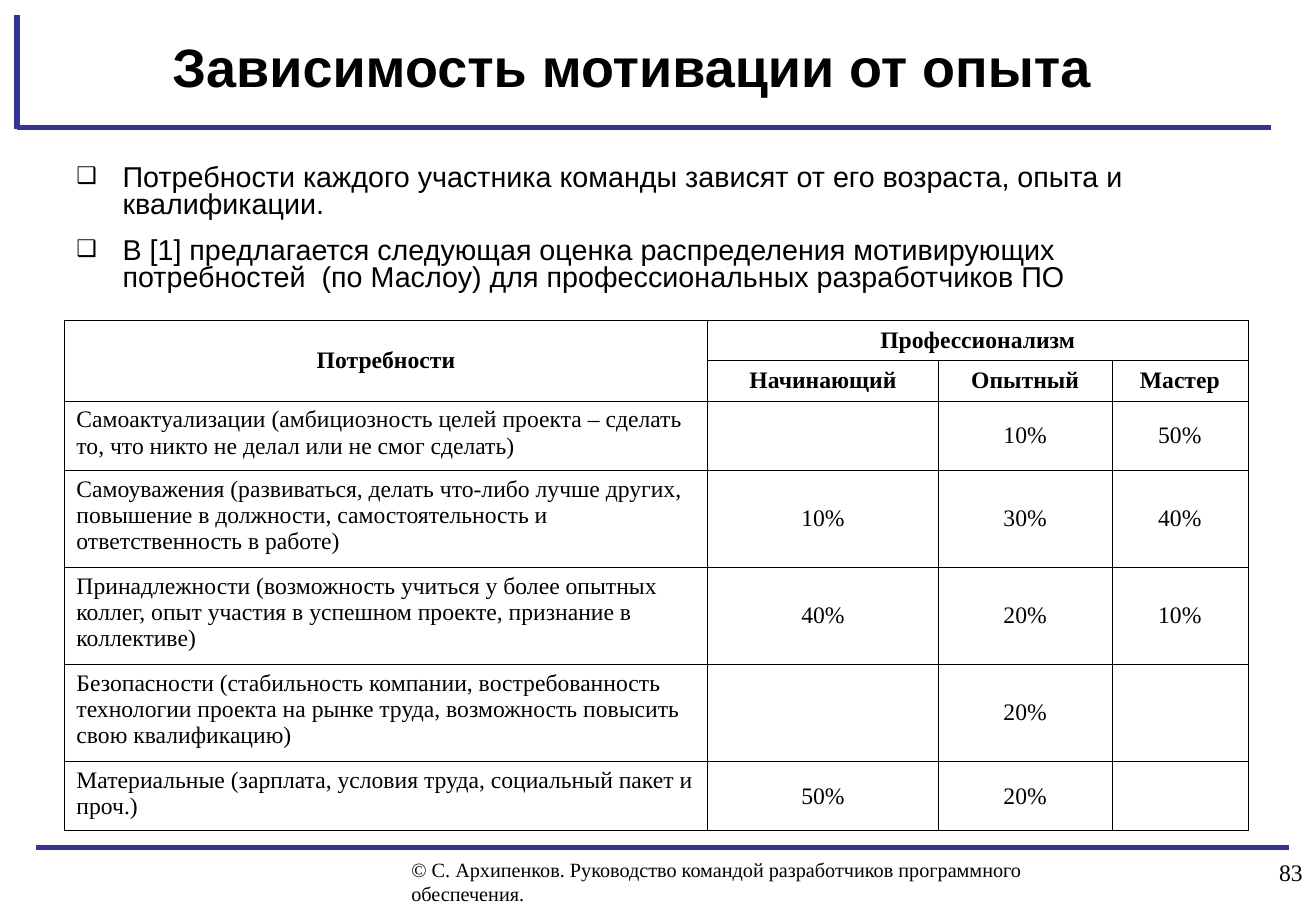
from dataclasses import dataclass

from lxml import etree
from pptx import Presentation
from pptx.dml.color import RGBColor
from pptx.enum.shapes import MSO_CONNECTOR
from pptx.enum.text import MSO_ANCHOR, MSO_AUTO_SIZE, PP_ALIGN
from pptx.oxml.ns import qn
from pptx.util import Emu, Inches, Pt

LEFT, CENTER, RIGHT = PP_ALIGN.LEFT, PP_ALIGN.CENTER, PP_ALIGN.RIGHT
TOP, MIDDLE = MSO_ANCHOR.TOP, MSO_ANCHOR.MIDDLE
STRAIGHT, NO_AUTOFIT = MSO_CONNECTOR.STRAIGHT, MSO_AUTO_SIZE.NONE

WIDTH, HEIGHT = Inches(10.84), Inches(7.5)
BLACK, NAVY = "000000", "333399"
SANS, SERIF = "Arial", "Times New Roman"


@dataclass(frozen=True)
class Box:
    """Place and size in percent of the slide."""
    left: float
    top: float
    width: float
    height: float

    def emu(self) -> tuple[Emu, Emu, Emu, Emu]:
        return (across(self.left), down(self.top),
                across(self.width), down(self.height))


@dataclass(frozen=True)
class Rule:
    """End points in percent of the slide."""
    x1: float
    y1: float
    x2: float
    y2: float


@dataclass(frozen=True)
class Label:
    box: Box
    text: str
    size: float
    align: PP_ALIGN


@dataclass(frozen=True)
class Need:
    text: str
    shares: tuple[str, str, str]
    height: float


RULES = [
    Rule(2.77, 93.07, 97.97, 93.07),
    Rule(1.29, 14, 96.59, 14),
    Rule(1.29, 1.6, 1.29, 14.13),
]
LABELS = [
    Label(Box(30.35, 93.47, 52.77, 6.53),
          "© С. Архипенков. Руководство командой разработчиков программного обеспечения.",
          12, LEFT),
    Label(Box(87.73, 93.47, 12.18, 6.53), "83", 14, RIGHT),
]
TITLE = "Зависимость мотивации от опыта"
TITLE_BOX = Box(12.18, 1.6, 82.93, 11.2)
POINTS = [
    "Потребности каждого участника команды зависят от его возраста, опыта и квалификации.",
    "В [1] предлагается следующая оценка распределения мотивирующих "
    "потребностей  (по Маслоу) для профессиональных разработчиков ПО",
]
BODY_BOX = Box(4.89, 17.47, 89.94, 16.8)
TABLE_BOX = Box(4.89, 35.2, 89.94, 56)
COLUMNS = [48.89, 17.53, 13.19, 10.33]
HEADER_HEIGHT, TWO_LINES, THREE_LINES = 4.4, 7.6, 10.67
HEADER = [
    ("Потребности", "Профессионализм", "", ""),
    ("", "Начинающий", "Опытный", "Мастер"),
]
NEEDS = [
    Need("Самоактуализации (амбициозность целей проекта – сделать то, "
         "что никто не делал или не смог сделать)", ("", "10%", "50%"), TWO_LINES),
    Need("Самоуважения (развиваться, делать что-либо лучше других, повышение в должности, "
         "самостоятельность и ответственность в работе)", ("10%", "30%", "40%"), THREE_LINES),
    Need("Принадлежности (возможность учиться у более опытных коллег, опыт участия "
         "в успешном проекте, признание в коллективе)", ("40%", "20%", "10%"), THREE_LINES),
    Need("Безопасности (стабильность компании, востребованность технологии проекта "
         "на рынке труда, возможность повысить свою квалификацию)", ("", "20%", ""), THREE_LINES),
    Need("Материальные (зарплата, условия труда, социальный пакет и проч.)",
         ("50%", "20%", ""), TWO_LINES),
]


def across(share: float) -> Emu:
    return Emu(round(WIDTH * share / 100))


def down(share: float) -> Emu:
    return Emu(round(HEIGHT * share / 100))


def color(value: str) -> RGBColor:
    return RGBColor.from_string(value)


def format_text(p, font: str, size: float, align: PP_ALIGN, bold: bool = False) -> None:
    p.alignment = align
    for r in p.runs:
        r.font.name, r.font.size, r.font.bold = font, Pt(size), bold
        r.font.color.rgb = color(BLACK)


def place(sp, box: Box, anchor: MSO_ANCHOR):
    sp.left, sp.top, sp.width, sp.height = box.emu()
    tf = sp.text_frame
    tf.word_wrap, tf.auto_size, tf.vertical_anchor = True, NO_AUTOFIT, anchor
    return tf


def draw_rule(s, rule: Rule) -> None:
    line = s.shapes.add_connector(STRAIGHT, across(rule.x1), down(rule.y1),
                                  across(rule.x2), down(rule.y2))
    line.line.color.rgb, line.line.width = color(NAVY), Pt(3)
    etree.SubElement(line._element.spPr, qn("a:effectLst"))


def draw_label(s, label: Label) -> None:
    tf = place(s.shapes.add_textbox(*label.box.emu()), label.box, TOP)
    tf.text = label.text
    format_text(tf.paragraphs[0], SERIF, label.size, label.align)


def add_bullet(p) -> None:
    pPr = p._p.get_or_add_pPr()
    pPr.set("marL", str(Inches(0.38)))
    pPr.set("indent", str(-Inches(0.38)))
    tint = etree.SubElement(pPr, qn("a:buClr"))
    etree.SubElement(tint, qn("a:srgbClr"), val=BLACK)
    etree.SubElement(pPr, qn("a:buSzPct"), val="80000")
    etree.SubElement(pPr, qn("a:buChar"), char="❑")


def draw_points(sp) -> None:
    tf = place(sp, BODY_BOX, TOP)
    tf.text = "\n".join(POINTS)
    for i, p in enumerate(tf.paragraphs):
        add_bullet(p)
        p.line_spacing = 0.8
        p.space_before = Pt(10.6 if i else 0)
        format_text(p, SANS, 17, LEFT)


def add_borders(cell) -> None:
    tcPr = cell._tc.get_or_add_tcPr()
    for i, side in enumerate(("lnL", "lnR", "lnT", "lnB")):
        ln = etree.Element(qn(f"a:{side}"), w=str(Pt(0.45)))
        fill = etree.SubElement(ln, qn("a:solidFill"))
        etree.SubElement(fill, qn("a:srgbClr"), val=BLACK)
        tcPr.insert(i, ln)


def draw_table(s) -> None:
    rows = HEADER + [(need.text, *need.shares) for need in NEEDS]
    heights = [HEADER_HEIGHT] * len(HEADER) + [need.height for need in NEEDS]
    table = s.shapes.add_table(len(rows), len(COLUMNS), *TABLE_BOX.emu()).table
    table.first_row = table.horz_banding = False
    for column, width in zip(table.columns, COLUMNS):
        column.width = across(width)
    for i, (texts, height) in enumerate(zip(rows, heights)):
        table.rows[i].height = down(height)
        for j, text in enumerate(texts):
            cell = table.cell(i, j)
            is_header = i < len(HEADER)
            is_need = j == 0 and not is_header
            cell.fill.background()
            add_borders(cell)
            cell.vertical_anchor = TOP if is_need else MIDDLE
            cell.text_frame.text = text
            format_text(cell.text_frame.paragraphs[0], SERIF, 14,
                        LEFT if is_need else CENTER, is_header)
    table.cell(0, 0).merge(table.cell(1, 0))
    table.cell(0, 1).merge(table.cell(0, 3))


def main() -> None:
    prs = Presentation()
    prs.slide_width, prs.slide_height = WIDTH, HEIGHT
    s = prs.slides.add_slide(prs.slide_layouts[1])

    # Frame lines, footer and page number
    for rule in RULES:
        draw_rule(s, rule)
    for label in LABELS:
        draw_label(s, label)

    # Title and list
    tf = place(s.shapes.title, TITLE_BOX, MIDDLE)
    tf.text = TITLE
    format_text(tf.paragraphs[0], SANS, 32, LEFT, bold=True)
    draw_points(s.placeholders[1])

    # Needs by level of experience
    draw_table(s)
    prs.save("out.pptx")


if __name__ == "__main__":
    main()
